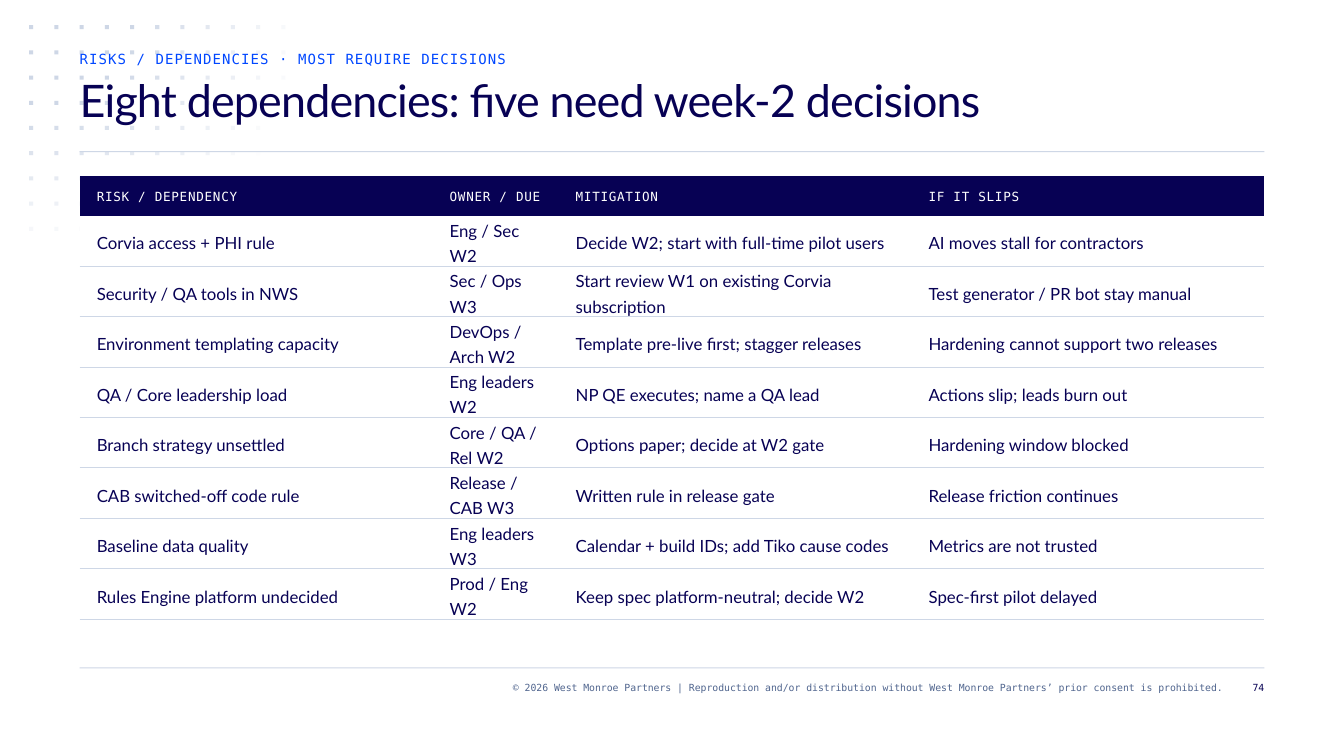
import math

import lxml.etree
import pptx
import pptx.dml.color
import pptx.enum.shapes
import pptx.enum.text
import pptx.oxml.ns
import pptx.util

Inches, Pt = pptx.util.Inches, pptx.util.Pt
ALIGN = pptx.enum.text.PP_ALIGN
ANCHOR = pptx.enum.text.MSO_ANCHOR

NAVY, BLUE, SLATE, MIST, WHITE = "070154", "0047FF", "50658E", "CED7E6", "FFFFFF"
SANS, MONO = "Lato", "DejaVu Sans Mono"

KICKER = "RISKS / DEPENDENCIES · MOST REQUIRE DECISIONS"
TITLE = "Eight dependencies: five need week-2 decisions"
COPYRIGHT = (
    "© 2026 West Monroe Partners | Reproduction and/or distribution "
    "without West Monroe Partners’ prior consent is prohibited."
)
PAGE_NUMBER = "74"
RISKS = [
    ("RISK / DEPENDENCY", "OWNER / DUE", "MITIGATION", "IF IT SLIPS"),
    ("Corvia access + PHI rule", "Eng / Sec W2",
     "Decide W2; start with full-time pilot users", "AI moves stall for contractors"),
    ("Security / QA tools in NWS", "Sec / Ops W3",
     "Start review W1 on existing Corvia subscription", "Test generator / PR bot stay manual"),
    ("Environment templating capacity", "DevOps / Arch W2",
     "Template pre-live first; stagger releases", "Hardening cannot support two releases"),
    ("QA / Core leadership load", "Eng leaders W2",
     "NP QE executes; name a QA lead", "Actions slip; leads burn out"),
    ("Branch strategy unsettled", "Core / QA / Rel W2",
     "Options paper; decide at W2 gate", "Hardening window blocked"),
    ("CAB switched-off code rule", "Release / CAB W3",
     "Written rule in release gate", "Release friction continues"),
    ("Baseline data quality", "Eng leaders W3",
     "Calendar + build IDs; add Tiko cause codes", "Metrics are not trusted"),
    ("Rules Engine platform undecided", "Prod / Eng W2",
     "Keep spec platform-neutral; decide W2", "Spec-first pilot delayed"),
]

LEFT, WIDTH = 0.79, 11.75
COLUMN_WIDTHS = (3.5, 1.25, 3.5, 3.5)
HEADER_HEIGHT, ROW_HEIGHT = 0.39, 0.5
PLAIN_TABLE_STYLE = "{2D5ABB26-0587-4C30-8999-92F81FD0307C}"

DOT_LEFT, DOT_TOP, DOT_PITCH, DOT_SIZE = 0.29, 0.25, 0.25, 0.04
DOT_COLUMNS, DOT_ROWS = 11, 9
FADE_WIDTH, FADE_HEIGHT, FADE_STRENGTH = 11.1, 9.07, 153


def rgb(value):
    return pptx.dml.color.RGBColor.from_string(value)


def add_child(parent, tag, **attributes):
    child = lxml.etree.SubElement(parent, pptx.oxml.ns.qn(tag))
    for name, value in attributes.items():
        child.set(name, str(value))
    return child


def write(frame, text, size, font, color, leading, spacing=0, align=ALIGN.LEFT):
    para = frame.paragraphs[0]
    para.alignment = align
    para.line_spacing = Pt(leading)
    span = para.add_run()
    span.text = text
    span.font.size = Pt(size)
    span.font.name = font
    span.font.color.rgb = rgb(color)
    if spacing:
        span.font._element.set("spc", str(round(spacing * 100)))


def clear_margins(frame):
    frame.margin_left = frame.margin_right = frame.margin_top = frame.margin_bottom = 0
    frame.word_wrap = True
    frame.auto_size = pptx.enum.text.MSO_AUTO_SIZE.NONE
    frame.vertical_anchor = ANCHOR.TOP


def add_text(page, left, top, width, height, *style, **options):
    box = page.shapes.add_textbox(Inches(left), Inches(top), Inches(width), Inches(height))
    clear_margins(box.text_frame)
    write(box.text_frame, *style, **options)


def add_block(page, left, top, width, height, opacity=100):
    block = page.shapes.add_shape(
        pptx.enum.shapes.MSO_SHAPE.RECTANGLE,
        Inches(left), Inches(top), Inches(width), Inches(height))
    block.shadow.inherit = False
    block.line.fill.background()
    block.fill.solid()
    block.fill.fore_color.rgb = rgb(MIST)
    if opacity < 100:
        color = block._element.spPr.find(".//" + pptx.oxml.ns.qn("a:srgbClr"))
        add_child(color, "a:alpha", val=opacity * 1000)


def add_dots(page):
    """Draw the corner grid, which fades out along an ellipse."""
    for column in range(DOT_COLUMNS):
        for row in range(DOT_ROWS):
            distance = math.hypot(column / FADE_WIDTH, row / FADE_HEIGHT)
            opacity = round(FADE_STRENGTH * (1 - distance))
            if opacity >= 2:
                add_block(page, DOT_LEFT + column * DOT_PITCH, DOT_TOP + row * DOT_PITCH,
                          DOT_SIZE, DOT_SIZE, opacity)


def add_title(page):
    title = page.shapes.title
    title.left, title.top = Inches(LEFT), Inches(0.75)
    title.width, title.height = Inches(WIDTH), Inches(0.75)
    clear_margins(title.text_frame)
    write(title.text_frame, TITLE, 32, SANS, NAVY, 36, spacing=-0.6)
    page.shapes._spTree.append(title._element)  # bring in front of the dots


def underline_cell(cell):
    border = add_child(cell._tc.get_or_add_tcPr(), "a:lnB", w=Pt(0.75))
    add_child(add_child(border, "a:solidFill"), "a:srgbClr", val=MIST)


def add_risk_table(page):
    height = HEADER_HEIGHT + ROW_HEIGHT * (len(RISKS) - 1)
    frame = page.shapes.add_table(
        len(RISKS), len(COLUMN_WIDTHS),
        Inches(LEFT), Inches(1.75), Inches(WIDTH), Inches(height))
    table = frame.table
    table.horz_banding = table.first_row = False
    table._tbl.tblPr.find(pptx.oxml.ns.qn("a:tableStyleId")).text = PLAIN_TABLE_STYLE
    for column, width in zip(table.columns, COLUMN_WIDTHS):
        column.width = Inches(width)
    for index, texts in enumerate(RISKS):
        is_header = index == 0
        table.rows[index].height = Inches(HEADER_HEIGHT if is_header else ROW_HEIGHT)
        for cell, text in zip(table.rows[index].cells, texts):
            cell.margin_left = cell.margin_right = Inches(0.17)
            cell.margin_top = cell.margin_bottom = 0
            cell.vertical_anchor = ANCHOR.MIDDLE
            if is_header:
                write(cell.text_frame, text, 9, MONO, WHITE, 12, spacing=0.5)
            else:
                underline_cell(cell)
                write(cell.text_frame, text, 12, SANS, NAVY, 18)
            cell.fill.solid()
            cell.fill.fore_color.rgb = rgb(NAVY if is_header else WHITE)


def main():
    deck = pptx.Presentation()
    deck.slide_width, deck.slide_height = Inches(13.33), Inches(7.5)
    page = deck.slides.add_slide(deck.slide_layouts[5])
    add_dots(page)
    for rule_top in (1.5, 6.62):
        add_block(page, LEFT, rule_top, WIDTH, 0.01)
    add_text(page, LEFT, 0.5, WIDTH, 0.17, KICKER, 10, MONO, BLUE, 12, spacing=0.8)
    add_title(page)
    add_risk_table(page)
    add_text(page, 2.38, 6.75, 9.75, 0.25, COPYRIGHT, 7, MONO, SLATE, 9, align=ALIGN.RIGHT)
    add_text(page, 12.21, 6.75, 0.33, 0.25, PAGE_NUMBER, 7, MONO, NAVY, 9, align=ALIGN.RIGHT)
    deck.save("out.pptx")


if __name__ == "__main__":
    main()
